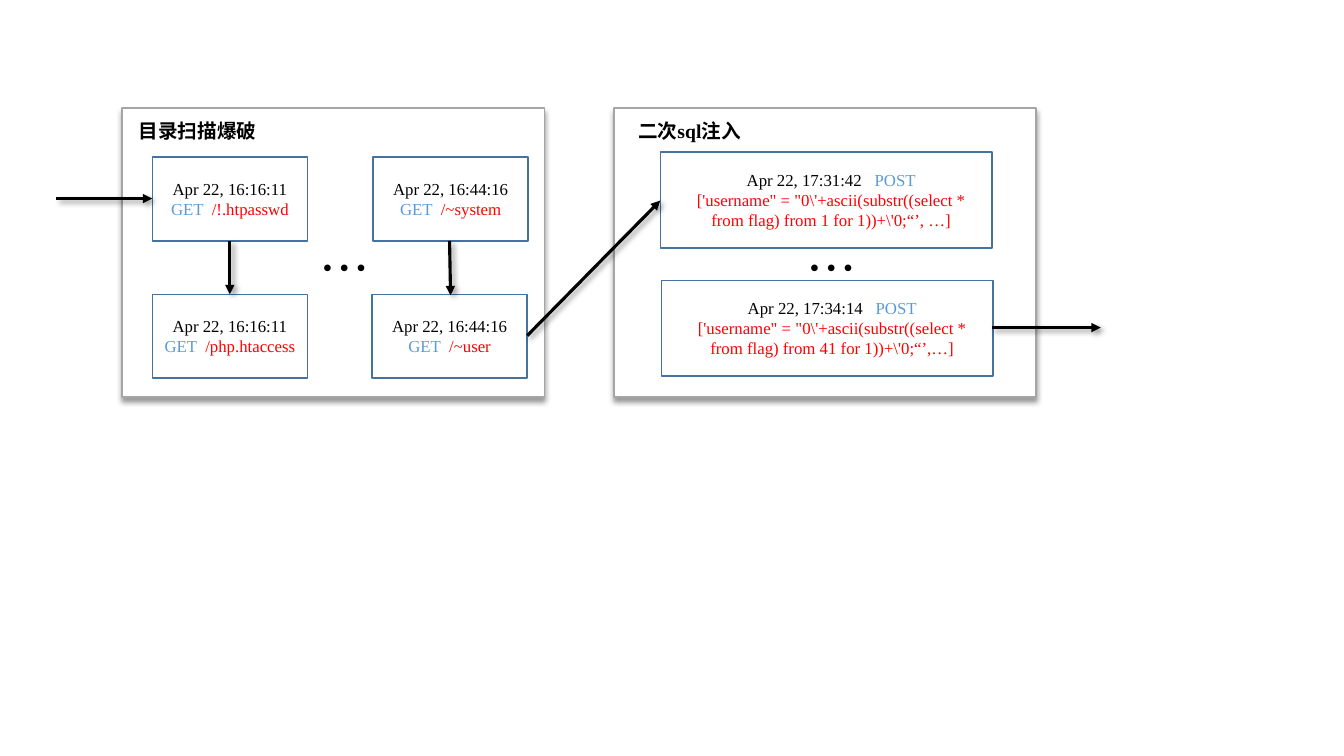
from dataclasses import dataclass

from lxml.etree import SubElement
from pptx import Presentation
from pptx.dml.color import RGBColor
from pptx.enum.shapes import MSO_CONNECTOR, MSO_SHAPE
from pptx.enum.text import MSO_ANCHOR, MSO_AUTO_SIZE, PP_ALIGN
from pptx.oxml.ns import qn
from pptx.util import Inches, Pt

COLORS = {
    "text": "000000", "method": "5B9BD5", "payload": "FF0000",
    "panel": "FFFFFF", "panel_edge": "A5A5A5", "entry_edge": "43739E",
}
LATIN, CJK = "Times New Roman", "Noto Sans CJK SC"
COLUMNS, ROWS = 133.33, 75
PANEL_TOP, PANEL_WIDTH, PANEL_HEIGHT = 10.7, 41.9, 28.7
REQUEST_SIZE = (15.4, 8.3)
INJECTION_SIZE = (32.9, 9.5)


@dataclass(frozen=True)
class Stage:
    """A panel of the attack chain, in grid units."""
    left: float
    heading: str
    heading_slot: int
    ellipsis_left: float


@dataclass(frozen=True)
class LogEntry:
    """A log record whose lines hold (text, colour) pieces."""
    left: float
    top: float
    size: tuple[float, float]
    lines: list[list[tuple[str, str]]]
    indent: float = 1


@dataclass(frozen=True)
class Step:
    """An arrow between two grid points."""
    start: tuple[float, float]
    end: tuple[float, float]


def request(left: float, top: float, time: str, target: str) -> LogEntry:
    """Describe one directory scan request."""
    return LogEntry(left, top, REQUEST_SIZE, [
        [(f"Apr 22, {time}", "text")],
        [("GET  ", "method"), (target, "payload")]])


def injection(left: float, top: float, time: str, position: int, tail: str) -> LogEntry:
    """Describe one injection request."""
    query = f"['username\" = \"0\\'+ascii(substr((select * from flag) from {position} for 1))+\\'0;“’,{tail}]"
    return LogEntry(left, top, INJECTION_SIZE, [
        [(f"Apr 22, {time}   ", "text"), ("POST", "method")],
        [(query, "payload")]], indent=2)


STAGES = [
    Stage(12.1, "目录扫描爆破", 1, 30.7),
    Stage(60.9, "二次sql注入", 3, 79),
]
ENTRIES = [
    request(15.1, 15.6, "16:16:11", "/!.htpasswd"),
    request(15.1, 29.2, "16:16:11", "/php.htaccess"),
    request(37, 15.6, "16:44:16", "/~system"),
    request(36.9, 29.2, "16:44:16", "/~user"),
    injection(65.5, 15.1, "17:31:42", 1, " …"),
    injection(65.6, 27.8, "17:34:14", 41, "…"),
]
STEPS = [
    Step((5.6, 19.7), (15.1, 19.7)),
    Step((22.8, 23.9), (22.8, 29.2)),
    Step((44.6, 23.9), (44.7, 29.3)),
    Step((52.3, 33.3), (65.5, 19.9)),
    Step((98.4, 32.5), (109.2, 32.5)),
]

deck = Presentation()
deck.slide_width, deck.slide_height = Inches(13.33), Inches(7.5)
slide = deck.slides.add_slide(deck.slide_layouts[4])


def col(count: float) -> int:
    """Convert grid columns to a length."""
    return round(deck.slide_width * count / COLUMNS)


def row(count: float) -> int:
    """Convert grid rows to a length."""
    return round(deck.slide_height * count / ROWS)


def color(role: str) -> RGBColor:
    """Look up the colour of a role."""
    return RGBColor.from_string(COLORS[role])


def cast_shadow(item, degrees: int) -> None:
    """Give an item a soft black shadow in one direction."""
    properties = item._element.spPr
    effects = properties.find(qn("a:effectLst"))
    if effects is None:
        effects = SubElement(properties, qn("a:effectLst"))
    shadow = SubElement(effects, qn("a:outerShdw"), blurRad=str(Pt(4)),
                        dist=str(Pt(3)), dir=str(degrees * 60000), rotWithShape="0")
    black = SubElement(shadow, qn("a:srgbClr"), val=COLORS["text"])
    SubElement(black, qn("a:alpha"), val="40000")


def add_box(left: float, top: float, width: float, height: float, edge: str):
    """Draw an unfilled rectangle with a thin edge."""
    box = slide.shapes.add_shape(MSO_SHAPE.RECTANGLE, col(left), row(top), col(width), row(height))
    box.shadow.inherit = False
    box.fill.background()
    box.line.color.rgb = color(edge)
    box.line.width = Pt(1)
    return box


def add_stage(stage: Stage) -> None:
    """Draw a panel with its heading and ellipsis."""
    panel = add_box(stage.left, PANEL_TOP, PANEL_WIDTH, PANEL_HEIGHT, "panel_edge")
    panel.fill.solid()
    panel.fill.fore_color.rgb = color("panel")
    cast_shadow(panel, 90)

    heading = slide.placeholders[stage.heading_slot]
    heading.left, heading.top = col(stage.left - 1.8), row(11.3)
    heading.width, heading.height = col(18.6), row(3.4)
    slide.shapes._spTree.append(heading._element)
    frame = heading.text_frame
    frame.text = stage.heading
    frame.auto_size = MSO_AUTO_SIZE.NONE
    frame.vertical_anchor = MSO_ANCHOR.TOP
    title = frame.paragraphs[0]
    title.alignment = PP_ALIGN.CENTER
    title.space_before = Pt(0)
    title.font.size, title.font.bold, title.font.name = Pt(14), True, LATIN
    title.font.color.rgb = color("text")

    ellipsis = slide.shapes.add_textbox(col(stage.ellipsis_left), row(23), col(5.5), row(7.1))
    ellipsis.text_frame.word_wrap = False
    dots = ellipsis.text_frame.paragraphs[0]
    dots.text = "…"
    dots.font.size, dots.font.name = Pt(36), CJK
    dots.font.color.rgb = color("text")
    SubElement(dots.font._element, qn("a:ea"), typeface=CJK)


def add_entry(entry: LogEntry) -> None:
    """Draw a log record with coloured text."""
    frame = add_box(entry.left, entry.top, *entry.size, "entry_edge").text_frame
    frame.word_wrap = True
    frame.vertical_anchor = MSO_ANCHOR.MIDDLE
    frame.margin_left = col(entry.indent)
    for number, pieces in enumerate(entry.lines):
        line = frame.add_paragraph() if number else frame.paragraphs[0]
        line.alignment = PP_ALIGN.CENTER
        line.font.size, line.font.name = Pt(12), LATIN
        for text, role in pieces:
            piece = line.add_run()
            piece.text = text
            piece.font.color.rgb = color(role)


def add_step(step: Step) -> None:
    """Draw an arrow from one point to another."""
    (x1, y1), (x2, y2) = step.start, step.end
    arrow = slide.shapes.add_connector(MSO_CONNECTOR.STRAIGHT, col(x1), row(y1), col(x2), row(y2))
    arrow.line.color.rgb = color("text")
    arrow.line.width = Pt(2.25)
    SubElement(arrow.line._get_or_add_ln(), qn("a:tailEnd"), type="triangle")
    cast_shadow(arrow, 45)


for stage in STAGES:
    add_stage(stage)
for entry in ENTRIES:
    add_entry(entry)
for step in STEPS:
    add_step(step)
for unused in list(slide.placeholders):
    if not unused.text_frame.text:
        unused._element.getparent().remove(unused._element)

deck.save("out.pptx")
